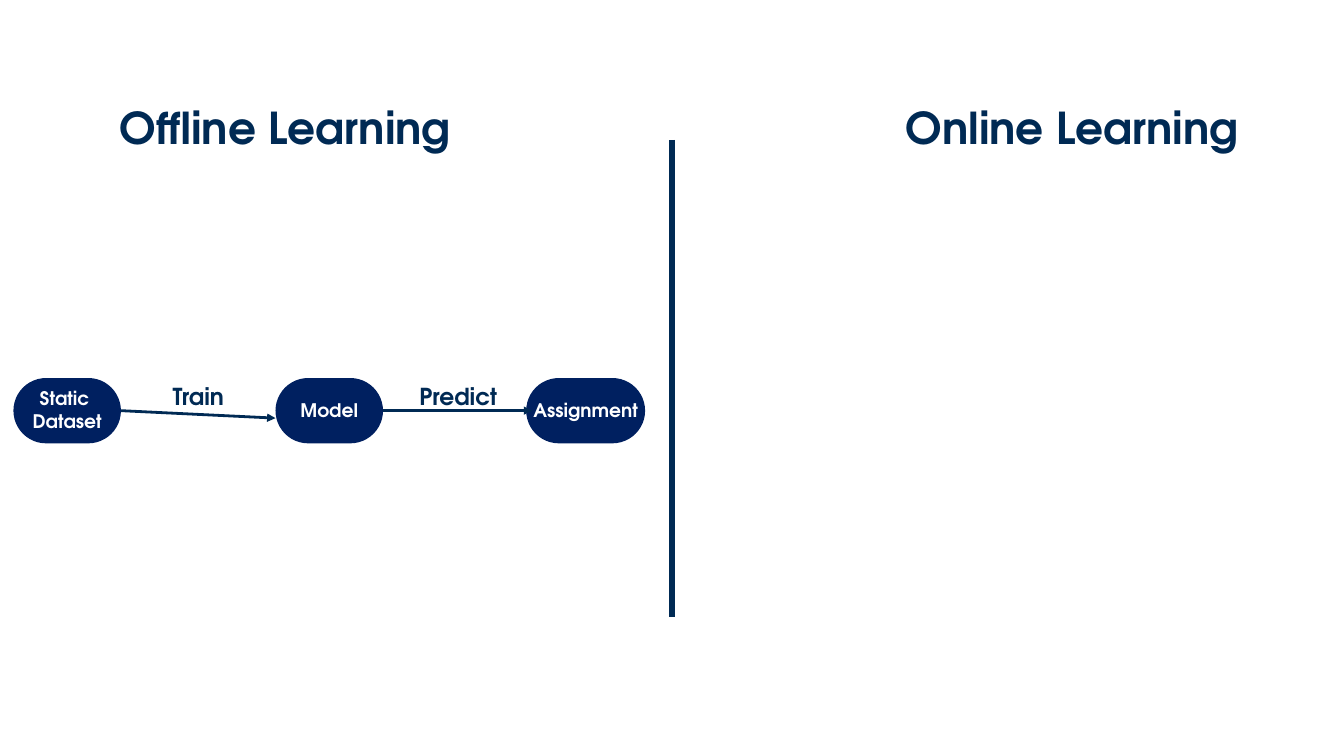
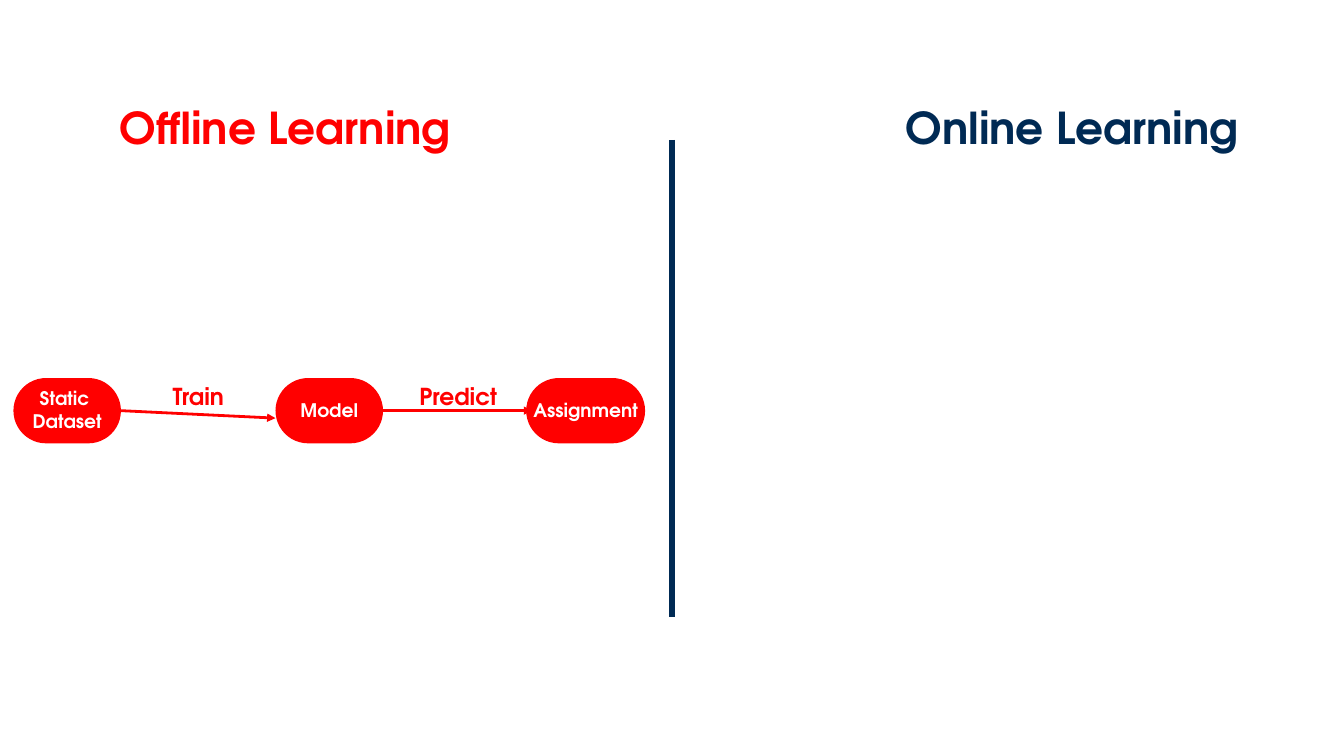
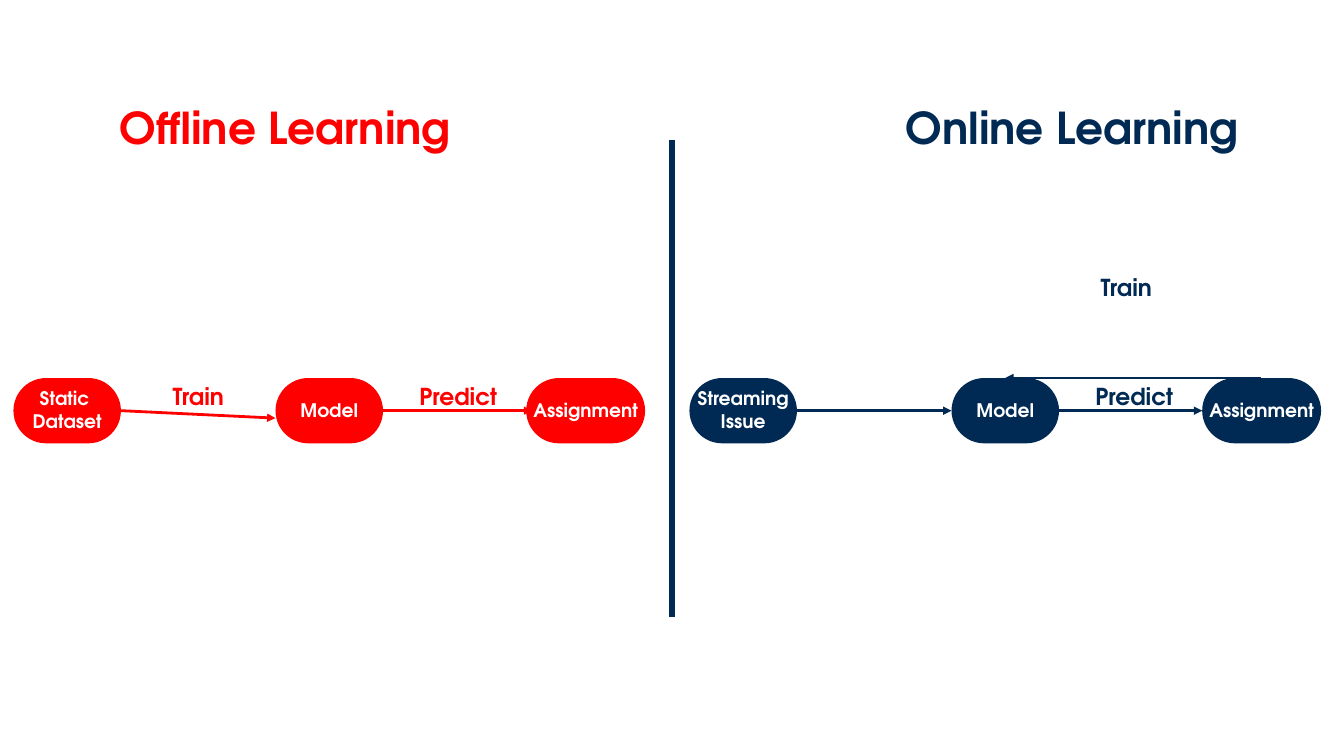
"""Builds three slides that compare offline and online learning."""
from pptx import Presentation
from pptx import util as u
from pptx.dml.color import RGBColor
from pptx.enum import shapes, text
from pptx.oxml import ns
from lxml import etree

Pt = u.Pt
NAVY, DEEP, RED, WHITE = "002A54", "002060", "FF0000", "FFFFFF"
FONT = {"name": "TeX Gyre Adventor", "bold": True}
MID, NODE_TOP, NODE_H = 440, 405, 70
NODES = [(14.4, 115.2), (295.2, 115.2), (563.8, 127.4)]
ONLINE_DX = 724.3

OFFLINE = {
    "dx": 0,
    "names": ["Static \nDataset", "Model", "Assignment"],
    "arrows": [(129.6, MID, 295.2, 448), (410.4, MID, 570.2, MID)],
    "labels": [("Predict", 410.4, 396.7), ("Train", 131.8, 396.7)],
}
ONLINE = {
    "dx": ONLINE_DX,
    "names": ["Streaming\nIssue", "Model", "Assignment"],
    "arrows": [(129.6, MID, 295.2, MID), (410.4, MID, 563.8, MID),
               (627.1, NODE_TOP, 352.8, NODE_TOP)],
    "labels": [("Predict", 410.4, 396.7), ("Train", 401.8, 279.4)],
}
SLIDES = [
    (NAVY, [(OFFLINE, DEEP, NAVY)]),
    (RED, [(OFFLINE, RED, RED)]),
    (RED, [(OFFLINE, RED, RED), (ONLINE, NAVY, NAVY)]),
]


def write(sp, words, size, spacing, color, anchor, insets=(0, 0, 0, 0), wrap=True):
    tf = sp.text_frame
    left, top, right, bottom = (Pt(i) for i in insets)
    frame = {"text": words, "word_wrap": wrap, "vertical_anchor": anchor,
             "auto_size": text.MSO_AUTO_SIZE.NONE, "margin_left": left,
             "margin_top": top, "margin_right": right, "margin_bottom": bottom}
    for key, value in frame.items():
        setattr(tf, key, value)
    for p in tf.paragraphs:
        layout = {"alignment": text.PP_ALIGN.CENTER, "line_spacing": Pt(spacing),
                  "space_before": Pt(0), "space_after": Pt(0)}
        for key, value in layout.items():
            setattr(p, key, value)
        for r in p.runs:
            for key, value in {**FONT, "size": Pt(size)}.items():
                setattr(r.font, key, value)
            r.font.color.rgb = RGBColor.from_string(color)


def draw_line(s, ends, color, width, arrow=False):
    sp = s.shapes.add_connector(shapes.MSO_CONNECTOR.STRAIGHT, *(Pt(v) for v in ends))
    sp.line.width = Pt(width)
    sp.line.color.rgb = RGBColor.from_string(color)
    if arrow:
        etree.SubElement(sp.line._get_or_add_ln(), ns.qn("a:tailEnd"), type="triangle")
    etree.SubElement(sp._element.spPr, ns.qn("a:effectLst"))


prs = Presentation()
prs.slide_width, prs.slide_height = Pt(1440), Pt(810)

for offline_color, flows in SLIDES:
    s = prs.slides.add_slide(prs.slide_layouts[0])
    headings = [("Offline Learning", 14.4, offline_color), ("Online Learning", 857.5, NAVY)]
    for sp, (words, x, color) in zip(s.placeholders, headings):
        sp.left, sp.top, sp.width, sp.height = Pt(x), Pt(80.6), Pt(582.5), Pt(83.5)
        write(sp, words, 47, 56.4, color, text.MSO_ANCHOR.BOTTOM)
    draw_line(s, (720, 150, 720, 661), NAVY, 6)

    for flow, node_color, color in flows:
        dx = flow["dx"]
        for name, (x, w) in zip(flow["names"], NODES):
            sp = s.shapes.add_shape(shapes.MSO_SHAPE.ROUNDED_RECTANGLE,
                                    Pt(x + dx), Pt(NODE_TOP), Pt(w), Pt(NODE_H))
            sp.adjustments[0] = 0.5
            sp.shadow.inherit = False
            sp.fill.solid()
            sp.fill.fore_color.rgb = RGBColor.from_string(node_color)
            sp.line.fill.background()
            write(sp, name, 20, 24, WHITE, text.MSO_ANCHOR.MIDDLE, (4.3, 4.3, 4.3, 6.5), False)
        for x1, y1, x2, y2 in flow["arrows"]:
            draw_line(s, (x1 + dx, y1, x2 + dx, y2), color, 3, arrow=True)
        for words, x, y in flow["labels"]:
            sp = s.shapes.add_textbox(Pt(x + dx), Pt(y), Pt(161.3), Pt(43.2))
            write(sp, words, 25, 30, color, text.MSO_ANCHOR.BOTTOM)

prs.save("out.pptx")
